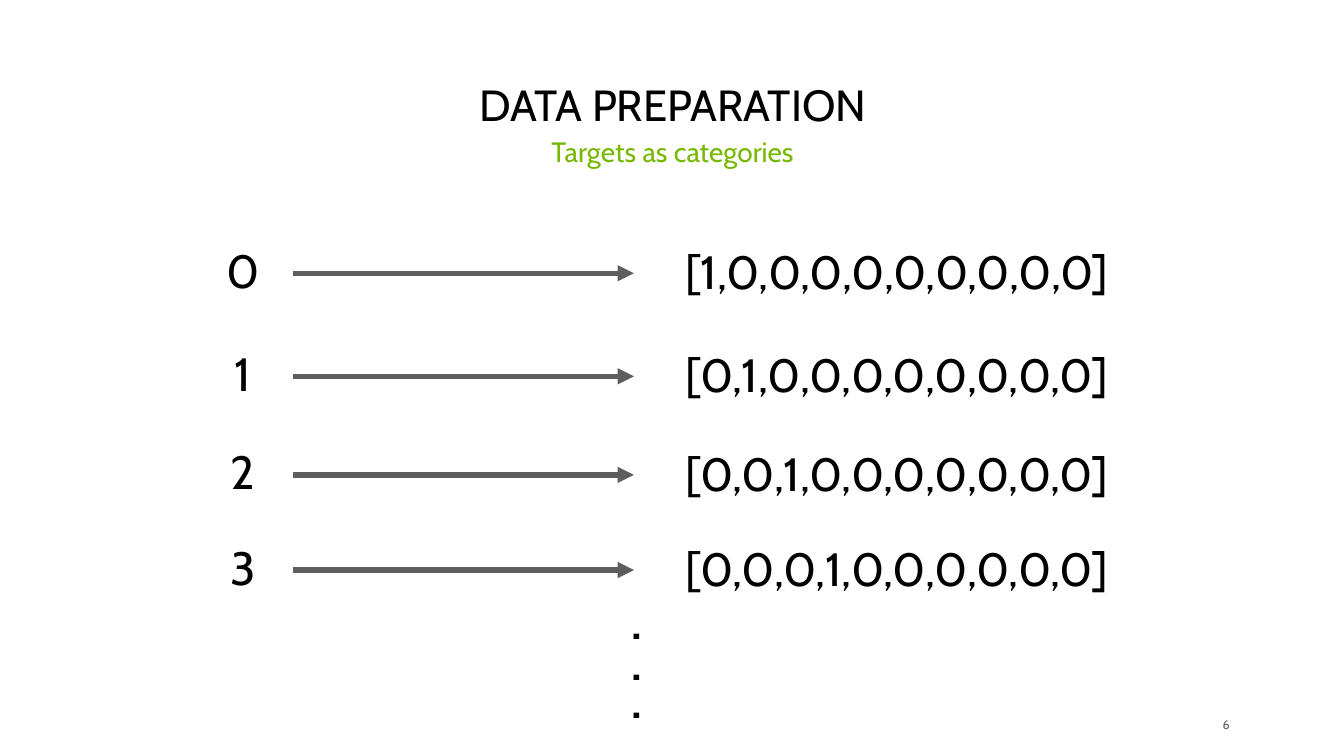
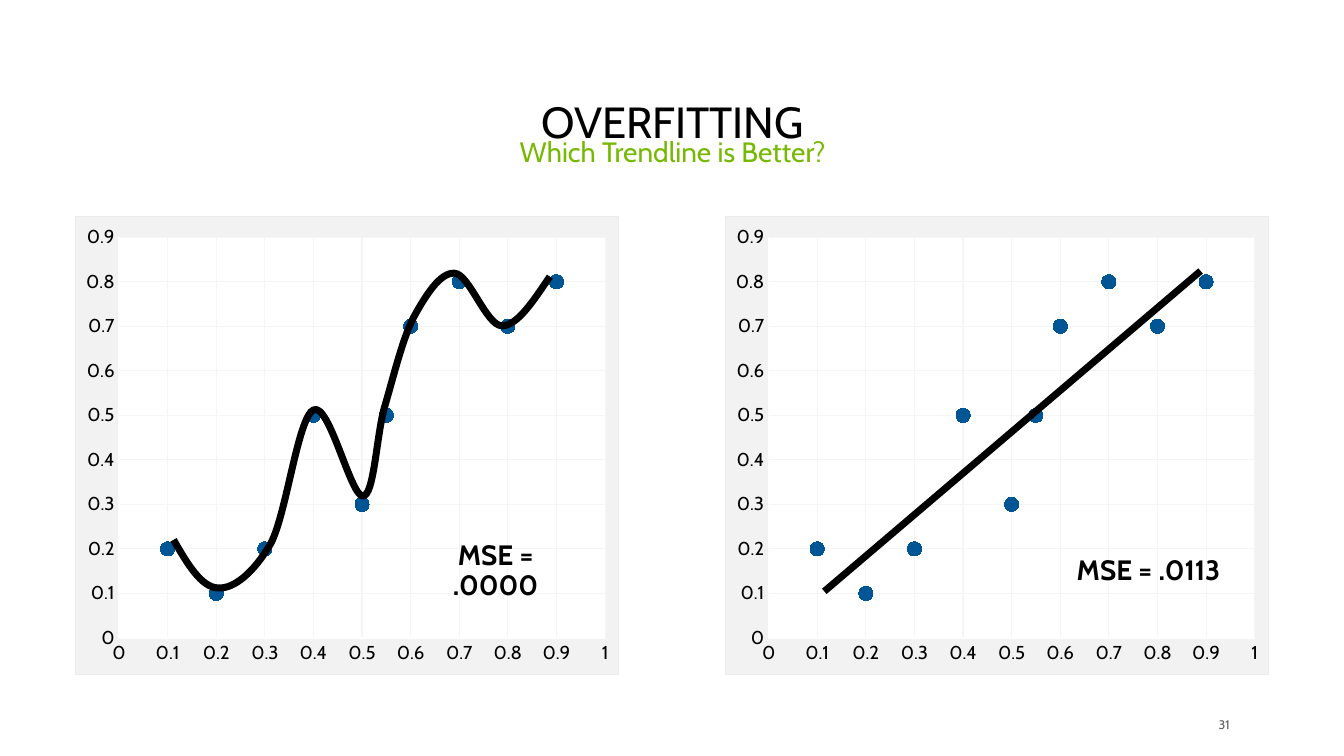
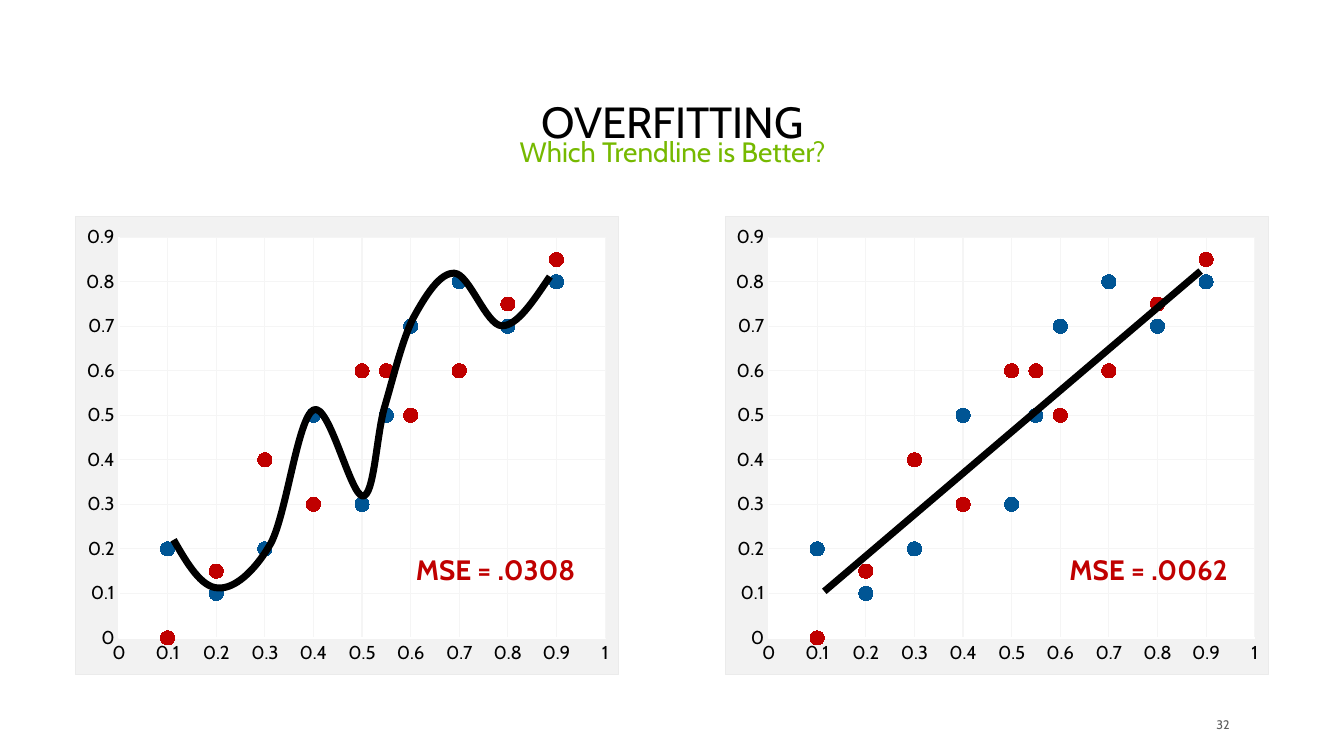
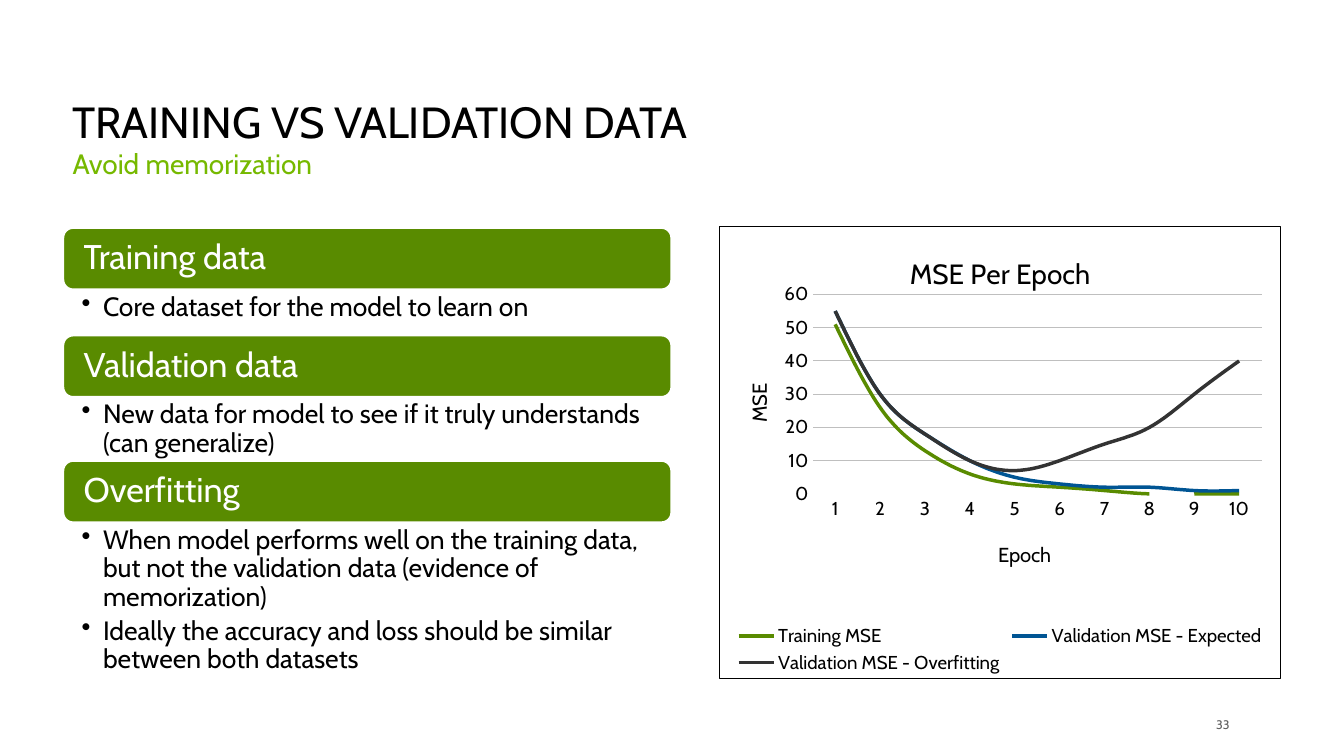
from lxml import etree
from pptx import Presentation
from pptx import util as u
from pptx.chart import data
from pptx.dml.color import RGBColor
from pptx.enum import chart as ch, shapes, text
from pptx.oxml.ns import qn

BLACK = RGBColor(0x00, 0x00, 0x00)
WHITE = RGBColor(0xFF, 0xFF, 0xFF)
LIME = RGBColor(0x76, 0xB9, 0x00)
GREEN = RGBColor(0x59, 0x8B, 0x00)
BLUE = RGBColor(0x00, 0x55, 0x94)
RED = RGBColor(0xC0, 0x00, 0x00)
DARK = RGBColor(0x33, 0x33, 0x33)
GREY = RGBColor(0x5E, 0x5E, 0x5E)
RULE = RGBColor(0xBF, 0xBF, 0xBF)
EDGE = RGBColor(0xEB, 0xEB, 0xEB)
PALE = RGBColor(0xF2, 0xF2, 0xF2)
GRID = RGBColor(0xF5, 0xF5, 0xF5)

FONT = "Cabin"
LEFT, MID, RIGHT = text.PP_ALIGN.LEFT, text.PP_ALIGN.CENTER, text.PP_ALIGN.RIGHT
TOP, CENTER, BOTTOM = (text.MSO_ANCHOR.TOP, text.MSO_ANCHOR.MIDDLE,
                       text.MSO_ANCHOR.BOTTOM)

# Data of the scatter charts
XS = [0.1, 0.2, 0.3, 0.4, 0.5, 0.6, 0.55, 0.7, 0.8, 0.9]
TRAIN = ("Series 1", [0.2, 0.1, 0.2, 0.5, 0.3, 0.7, 0.5, 0.8, 0.7, 0.8], BLUE)
TEST = ("Series 2", [0, 0.15, 0.4, 0.3, 0.6, 0.5, 0.6, 0.6, 0.75, 0.85], RED)

# Wavy fit: start point, then three Bezier points per piece
WAVE = [(1.55, 4.82),
        (1.67, 5.03), (1.8, 5.25), (1.95, 5.25),
        (2.09, 5.26), (2.27, 5.11), (2.42, 4.85),
        (2.56, 4.58), (2.66, 3.73), (2.8, 3.66),
        (2.94, 3.59), (3.13, 4.43), (3.24, 4.43),
        (3.34, 4.43), (3.36, 3.91), (3.43, 3.65),
        (3.51, 3.38), (3.59, 3.04), (3.69, 2.84),
        (3.8, 2.64), (3.93, 2.43), (4.06, 2.44),
        (4.19, 2.45), (4.34, 2.9), (4.48, 2.91),
        (4.62, 2.91), (4.76, 2.69), (4.91, 2.47)]

# Epoch chart
LOSS = [("Training MSE", [51, 26, 13, 6, 3, 2, 1, 0, 0, 0], GREEN),
        ("Validation MSE - Expected", [55, 30, 18, 10, 5, 3, 2, 2, 1, 1], BLUE),
        ("Validation MSE - Overfitting",
         [55, 30, 18, 10, 7, 10, 15, 20, 30, 40], DARK)]

# Heading, height of the text below it, bullets
PARTS = [("Training data", 0.4, ["Core dataset for the model to learn on"]),
         ("Validation data", 0.56,
          ["New data for model to see if it truly understands (can generalize)"]),
         ("Overfitting", 1.37,
          ["When model performs well on the training data, but not the "
           "validation data (evidence of memorization)",
           "Ideally the accuracy and loss should be similar between both "
           "datasets"])]


def style(font, size, color=BLACK, bold=False):
    font.name, font.size, font.bold = FONT, u.Pt(size), bold
    font.color.rgb = color


def write(frame, lines, size=18, color=BLACK, bold=False, align=LEFT,
          anchor=TOP, inset=(0.1, 0.05, 0.1, 0.05), pitch=0.9, after=0,
          bullet=False):
    """Fill a text frame with one paragraph per line."""
    frame.word_wrap = True
    frame.vertical_anchor = anchor
    (frame.margin_left, frame.margin_top,
     frame.margin_right, frame.margin_bottom) = map(u.Inches, inset)
    for i, line in enumerate(lines):
        para = frame.add_paragraph() if i else frame.paragraphs[0]
        para.text = line
        para.alignment, para.line_spacing = align, pitch
        para.space_after = u.Pt(after)
        if bullet:
            props = para._p.get_or_add_pPr()
            props.set("marL", str(u.Inches(0.19)))
            props.set("indent", str(-u.Inches(0.19)))
            etree.SubElement(props, qn("a:buChar")).set("char", "•")
        style(para.font, size, color, bold)


def place(node, index, **sides):
    """Give a chart part a fixed place, in shares of the chart."""
    old = node.find(qn("c:layout"))
    if old is not None:
        node.remove(old)
    layout = etree.Element(qn("c:layout"))
    manual = etree.SubElement(layout, qn("c:manualLayout"))
    if "w" in sides:
        etree.SubElement(manual, qn("c:layoutTarget")).set("val", "inner")
    for key in ("xMode", "yMode"):
        etree.SubElement(manual, qn("c:" + key)).set("val", "edge")
    for key, val in sides.items():
        etree.SubElement(manual, qn("c:" + key)).set("val", str(val))
    node.insert(index, layout)


def paint(chart, fill, edge):
    """Fill and outline the chart area."""
    props = etree.fromstring(
        '<c:spPr xmlns:c="http://schemas.openxmlformats.org/drawingml/2006/chart"'
        ' xmlns:a="http://schemas.openxmlformats.org/drawingml/2006/main">'
        f'<a:solidFill><a:srgbClr val="{fill}"/></a:solidFill>'
        f'<a:ln w="{u.Pt(0.75)}"><a:solidFill><a:srgbClr val="{edge}"/>'
        '</a:solidFill></a:ln></c:spPr>')
    chart._chartSpace.chart.addnext(props)
    return props


def caption(owner, words, size, x, y):
    owner.has_title = True
    title = owner.chart_title if hasattr(owner, "chart_title") else owner.axis_title
    title.text_frame.text = words
    style(title.text_frame.paragraphs[0].font, size)
    place(title._element, 1, x=x, y=y)


def tune(axis, line=None, grid=None):
    axis.major_tick_mark = axis.minor_tick_mark = ch.XL_TICK_MARK.NONE
    style(axis.tick_labels.font, 12)
    if line is None:
        axis.format.line.fill.background()
    else:
        axis.format.line.color.rgb = line
        axis.format.line.width = u.Pt(0.75)
    axis.has_major_gridlines = grid is not None
    if grid is not None:
        axis.major_gridlines.format.line.color.rgb = grid
        axis.major_gridlines.format.line.width = u.Pt(0.75)


class Deck:
    def __init__(self):
        self.prs = Presentation()
        self.prs.slide_width, self.prs.slide_height = u.Inches(12), u.Inches(6.75)
        self.slide = None

    def page(self, number, head, sub, top=0.72, low=1.19, wide=10.91, align=MID):
        """Start a slide with title, subtitle and page number."""
        self.slide = self.prs.slides.add_slide(self.prs.slide_layouts[6])
        self.label(0.55, top, wide, 0.65, head, size=28, align=align, anchor=BOTTOM)
        self.label(0.55, low, wide, 0.57, sub, color=LIME, align=align)
        self.label(10.63, 6.38, 0.35, 0.18, str(number), size=8, color=GREY,
                   align=RIGHT, anchor=CENTER, inset=(0, 0, 0, 0), pitch=1)

    def label(self, x, y, w, h, words, **form):
        box = self.slide.shapes.add_textbox(*map(u.Inches, (x, y, w, h)))
        write(box.text_frame, [words] if isinstance(words, str) else words, **form)
        return box

    def bar(self, x, y, w, h, words):
        box = self.slide.shapes.add_shape(
            shapes.MSO_SHAPE.ROUNDED_RECTANGLE, *map(u.Inches, (x, y, w, h)))
        box.shadow.inherit = False
        box.fill.solid()
        box.fill.fore_color.rgb = GREEN
        box.line.color.rgb, box.line.width = WHITE, u.Pt(2)
        write(box.text_frame, [words], size=22, color=WHITE, anchor=CENTER,
              inset=(0.16, 0.09, 0.09, 0.09))

    def line(self, x1, y1, x2, y2, color, width, start=None, arrow=False):
        link = self.slide.shapes.add_connector(
            shapes.MSO_CONNECTOR.STRAIGHT, *map(u.Inches, (x1, y1, x2, y2)))
        if start is not None:
            link.begin_connect(start, 3)
        link.line.color.rgb, link.line.width = color, u.Pt(width)
        if arrow:
            tail = etree.SubElement(link.line._get_or_add_ln(), qn("a:tailEnd"))
            tail.set("type", "triangle")
        etree.SubElement(link._element.spPr, qn("a:effectLst"))

    def curve(self, points, color, width):
        """Draw a smooth open line through Bezier points."""
        spots = [(u.Inches(x), u.Inches(y)) for x, y in points]
        build = self.slide.shapes.build_freeform(*spots[0])
        build.add_line_segments(spots[1:], close=False)
        shape = build.convert_to_shape()
        shape.shadow.inherit = False
        shape.fill.background()
        shape.line.color.rgb, shape.line.width = color, u.Pt(width)
        # Turn each three straight pieces into one Bezier piece
        steps = list(shape._element.iter(qn("a:lnTo")))
        for i in range(0, len(steps), 3):
            bend = etree.Element(qn("a:cubicBezTo"))
            steps[i].addprevious(bend)
            for step in steps[i:i + 3]:
                bend.append(step[0])
                step.getparent().remove(step)

    def chart(self, kind, x, y, w, h, values):
        frame = self.slide.shapes.add_chart(
            kind, *map(u.Inches, (x, y, w, h)), values)
        chart = frame.chart
        style(chart.font, 10)
        chart.has_title = chart.has_legend = False
        return chart

    def scatter(self, x, sets):
        values = data.XyChartData()
        for name, ys, _ in sets:
            row = values.add_series(name)
            for point in zip(XS, ys):
                row.add_data_point(*point)
        chart = self.chart(ch.XL_CHART_TYPE.XY_SCATTER, x, 1.93, 4.86, 4.1, values)
        for axis, high in ((chart.category_axis, 1), (chart.value_axis, 0.9)):
            tune(axis, WHITE, GRID)
            axis.minimum_scale, axis.maximum_scale = 0, high
            axis.major_unit = 0.1
            axis.tick_labels.number_format = "General"
            axis.tick_labels.number_format_is_linked = False
        chart.plots[0].vary_by_categories = False
        for row, (_, _, color) in zip(chart.plots[0].series, sets):
            row.format.line.fill.background()
            row.smooth = False
            mark = row.marker
            mark.style, mark.size = ch.XL_MARKER_STYLE.CIRCLE, 9
            mark.format.fill.solid()
            mark.format.fill.fore_color.rgb = color
            mark.format.line.color.rgb = color
        area = chart._chartSpace.chart.plotArea
        place(area, 0, x=0.08, y=0.045, w=0.895, h=0.875)
        # White plot area on a pale chart
        area.append(paint(chart, WHITE, WHITE))
        paint(chart, PALE, EDGE)

    def epochs(self):
        values = data.CategoryChartData()
        values.categories = [str(n) for n in range(1, 11)]
        for name, ys, _ in LOSS:
            values.add_series(name, ys)
        chart = self.chart(ch.XL_CHART_TYPE.LINE, 6.42, 2.02, 5.02, 4.04, values)
        paint(chart, WHITE, BLACK)
        tune(chart.category_axis, WHITE)
        tune(chart.value_axis, None, RULE)
        chart.value_axis.minimum_scale, chart.value_axis.maximum_scale = 0, 60
        chart.value_axis.major_unit = 10
        caption(chart, "MSE Per Epoch", 18, 0.33, 0.05)
        caption(chart.category_axis, "Epoch", 13, 0.49, 0.69)
        caption(chart.value_axis, "MSE", 13, 0.04, 0.34)
        chart.plots[0].vary_by_categories = False
        for row, (_, _, color) in zip(chart.plots[0].series, LOSS):
            row.smooth = True
            row.marker.style = ch.XL_MARKER_STYLE.NONE
            row.format.line.color.rgb = color
            row.format.line.width = u.Pt(2.25)
        chart.has_legend = True
        chart.legend.position = ch.XL_LEGEND_POSITION.BOTTOM
        chart.legend.include_in_layout = False
        style(chart.legend.font, 12)
        place(chart._chartSpace.chart.plotArea, 0, x=0.166, y=0.15, w=0.8, h=0.442)


def targets(deck):
    deck.page(6, "DATA PREPARATION", "Targets as categories", top=0.57)
    form = dict(size=30, align=MID, anchor=CENTER)
    for digit, top in enumerate((2.16, 3.08, 3.96, 4.81)):
        code = ",".join("1" if n == digit else "0" for n in range(10))
        box = deck.label(1.72, top, 0.9, 0.56, str(digit), **form)
        deck.label(5.19, top + 0.01, 5.64, 0.56, f"[{code}]", **form)
        deck.line(2.62, top + 0.28, 5.66, top + 0.28, GREY, 3.5,
                  start=box, arrow=True)
    for top in (5.1, 5.47, 5.81):
        deck.label(5.24, top, 0.9, 0.77, ".", size=40, align=MID,
                   anchor=CENTER, pitch=1)


def fits(deck, number, sets, scores, color):
    """Compare the wavy and the straight fit."""
    deck.page(number, "OVERFITTING", "Which Trendline is Better?")
    for x, score in zip((0.67, 6.47), scores):
        deck.scatter(x, sets)
        deck.label(x + (2.93 if x < 6 else 2.96), 4.92, 1.65, 0.37,
                   f"MSE = {score}", color=color, bold=True, align=MID,
                   anchor=CENTER)
    deck.line(7.36, 5.28, 10.72, 2.42, BLACK, 4.5)
    deck.curve(WAVE, BLACK, 4.5)


def splits(deck):
    deck.page(33, "TRAINING VS VALIDATION DATA", "Avoid memorization",
              low=1.29, wide=6.48, align=LEFT)
    top = 2.03
    for head, high, points in PARTS:
        deck.bar(0.56, top, 5.44, 0.56, head)
        deck.label(0.56, top + 0.56, 5.44, high, points, size=17, after=3.4,
                   inset=(0.17, 0.03, 0.17, 0.03), bullet=True)
        top += 0.56 + high
    deck.epochs()


def main():
    deck = Deck()
    targets(deck)
    fits(deck, 31, [TRAIN], (".0000", ".0113"), BLACK)
    fits(deck, 32, [TRAIN, TEST], (".0308", ".0062"), RED)
    splits(deck)
    deck.prs.save("out.pptx")


if __name__ == "__main__":
    main()
